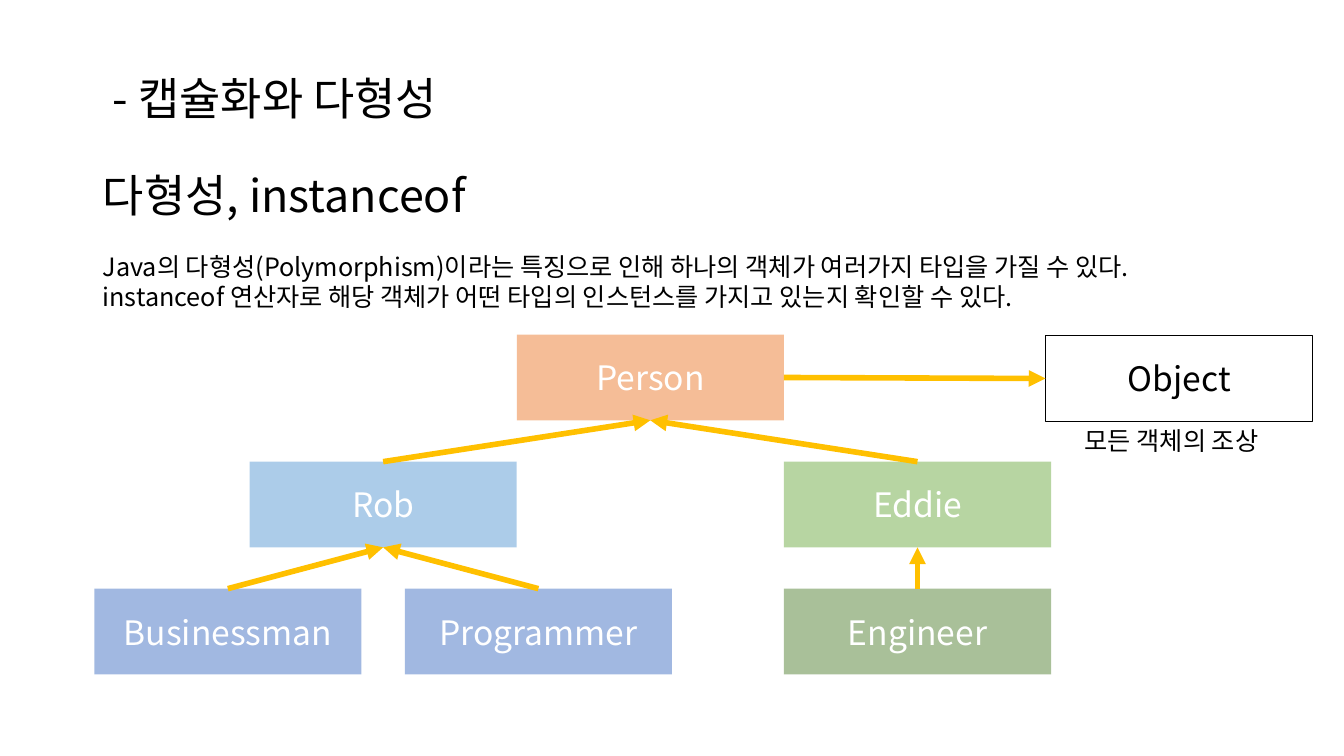
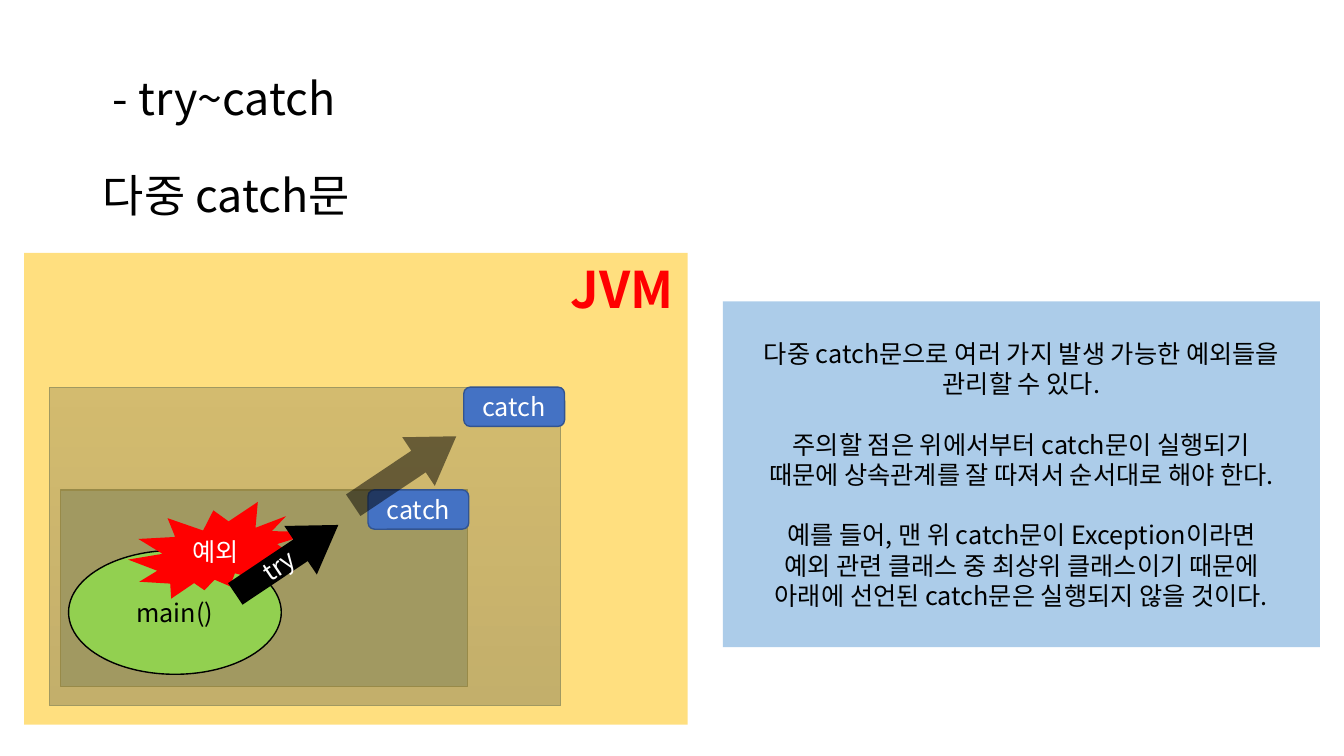
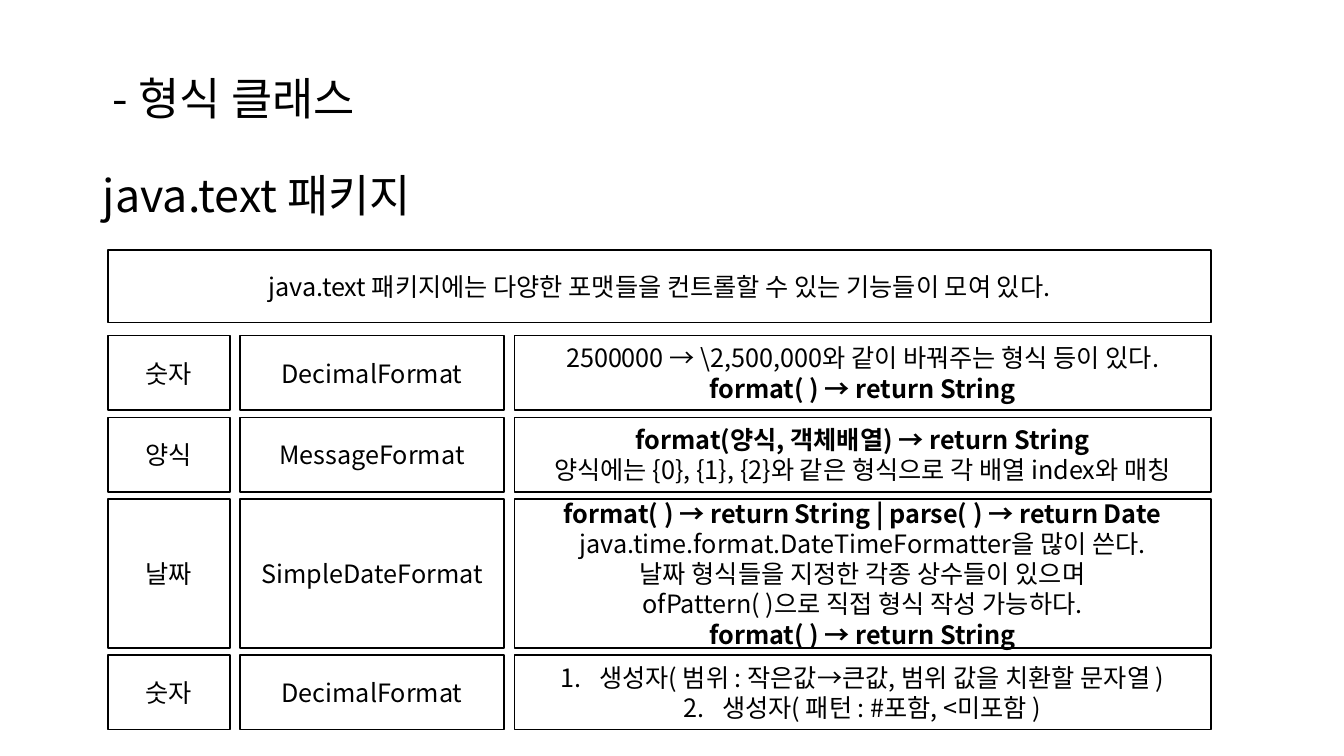
from dataclasses import dataclass

from lxml.etree import SubElement
from pptx import Presentation
from pptx.dml.color import RGBColor
from pptx.enum.shapes import MSO_CONNECTOR, MSO_SHAPE
from pptx.enum.text import MSO_ANCHOR, MSO_AUTO_SIZE, PP_ALIGN
from pptx.oxml.ns import qn
from pptx.util import Inches, Pt

FONT = "Noto Sans CJK KR"
BLACK, WHITE, RED, GOLD = "000000", "FFFFFF", "FF0000", "FFC000"
BLUE, SKY, NAVY = "4472C4", "5B9BD5", "325491"
TITLE_AREA = (0.92, 0.5, 10.78, 1.75)


@dataclass
class Line:
    """One paragraph of text."""
    text: str
    bold: bool = False
    before: float = 0
    numbered: bool = False


POLYMORPHISM_TITLE = (" - 캡슐화와 다형성", "다형성, instanceof")
POLYMORPHISM_NOTE = [
    "Java의 다형성(Polymorphism)이라는 특징으로 인해 하나의 객체가 여러가지 타입을 가질 수 있다.",
    "instanceof 연산자로 해당 객체가 어떤 타입의 인스턴스를 가지고 있는지 확인할 수 있다.",
]
NODE_WIDTH, NODE_HEIGHT = 2.65, 0.85
TREE_TOP, TREE_PITCH, TREE_CENTER, LEAF_OFFSET = 3.32, 1.26, 6.45, 1.54
TREE = [
    ("Person", None, 0, "ED7D31"),
    ("Rob", "Person", -NODE_WIDTH, SKY),
    ("Eddie", "Person", NODE_WIDTH, "70AD47"),
    ("Businessman", "Rob", -LEAF_OFFSET, BLUE),
    ("Programmer", "Rob", LEAF_OFFSET, BLUE),
    ("Engineer", "Eddie", 0, "548235"),
]

CATCH_TITLE = (" - try~catch", "다중 catch문")
CATCH_NOTE = [
    "다중 catch문으로 여러 가지 발생 가능한 예외들을",
    "관리할 수 있다.",
    Line("주의할 점은 위에서부터 catch문이 실행되기", before=21.7),
    "때문에 상속관계를 잘 따져서 순서대로 해야 한다.",
    Line("예를 들어, 맨 위 catch문이 Exception이라면", before=21.7),
    "예외 관련 클래스 중 최상위 클래스이기 때문에",
    "아래에 선언된 catch문은 실행되지 않을 것이다.",
]
CATCH_SIZE = (1, 0.39)
ARROW_SIZE = (1.23, 0.58)

FORMAT_TITLE = (" - 형식 클래스", "java.text 패키지")
FORMAT_HEADER = "java.text 패키지에는 다양한 포맷들을 컨트롤할 수 있는 기능들이 모여 있다."
RETURN_STRING = Line("format( ) → return String", bold=True)
FORMAT_ROWS = [
    (0.74, "숫자", "DecimalFormat", [
        r"2500000 → \2,500,000와 같이 바꿔주는 형식 등이 있다.",
        RETURN_STRING]),
    (0.74, "양식", "MessageFormat", [
        Line("format(양식, 객체배열) → return String", bold=True),
        "양식에는 {0}, {1}, {2}와 같은 형식으로 각 배열 index와 매칭"]),
    (1.48, "날짜", "SimpleDateFormat", [
        Line("format( ) → return String | parse( ) → return Date", bold=True),
        "java.time.format.DateTimeFormatter을 많이 쓴다.",
        "날짜 형식들을 지정한 각종 상수들이 있으며",
        "ofPattern( )으로 직접 형식 작성 가능하다.",
        RETURN_STRING]),
    (0.74, "숫자", "DecimalFormat", [
        Line("생성자( 범위 : 작은값→큰값, 범위 값을 치환할 문자열 )", numbered=True),
        Line("생성자( 패턴 : #포함, <미포함 )", numbered=True)]),
]
COLUMN_WIDTHS = (1.21, 2.62, 6.91)
COLUMN_GAP, ROW_GAP = 0.1, 0.07
GRID_LEFT, HEADER_TOP, HEADER_HEIGHT, GRID_TOP = 1.07, 2.48, 0.72, 3.33


def paint(color_format, color, alpha=None):
    """Set a colour from hex, with optional opacity in percent."""
    color_format.rgb = RGBColor.from_string(color)
    if alpha is not None:
        for node in color_format._xFill.iter(qn("a:srgbClr")):
            SubElement(node, qn("a:alpha"), val=str(alpha * 1000))


def write(frame, lines, size=18, color=BLACK, align=PP_ALIGN.CENTER, spacing=None):
    """Fill a text frame with lines, each a string or a Line."""
    frame.word_wrap = True
    for index, item in enumerate([lines] if isinstance(lines, str) else lines):
        line = Line(item) if isinstance(item, str) else item
        para = frame.add_paragraph() if index else frame.paragraphs[0]
        para.alignment = align
        para.space_before = Pt(line.before)
        if spacing:
            para.line_spacing = spacing
        if line.numbered:
            properties = para._p.get_or_add_pPr()
            properties.set("marL", str(Inches(0.38)))
            properties.set("indent", str(-Inches(0.38)))
            SubElement(properties, qn("a:buFont"), typeface="+mj-lt")
            SubElement(properties, qn("a:buAutoNum"), type="arabicPeriod")
        span = para.add_run()
        span.text = line.text
        span.font.size = Pt(size)
        span.font.bold = line.bold
        paint_text(span.font, color)


def paint_text(font, color):
    """Set colour and typeface for Latin and Korean text."""
    font.color.rgb = RGBColor.from_string(color)
    font.name = FONT
    latin = font._element.find(qn("a:latin"))
    east_asian = SubElement(font._element, qn("a:ea"), typeface=FONT)
    latin.addnext(east_asian)


def add_page(deck, title):
    """Add a slide with the shared two-line title."""
    page = deck.slides.add_slide(deck.slide_layouts[5])
    box = page.shapes.title
    box.left, box.top, box.width, box.height = map(Inches, TITLE_AREA)
    frame = box.text_frame
    frame.auto_size = MSO_AUTO_SIZE.NONE
    frame.vertical_anchor = MSO_ANCHOR.BOTTOM
    write(frame, [title[0], Line(title[1], before=34.5)], 32,
          align=PP_ALIGN.LEFT, spacing=0.9)
    return page


def add_block(page, area, fill, lines=(), kind=MSO_SHAPE.RECTANGLE, alpha=None,
              border=None, border_width=1, size=18, color=BLACK):
    """Add a filled shape with centred text."""
    block = page.shapes.add_shape(kind, *map(Inches, area))
    block.shadow.inherit = False
    block.fill.solid()
    paint(block.fill.fore_color, fill, alpha)
    if border:
        paint(block.line.color, border)
        block.line.width = Pt(border_width)
    else:
        block.line.fill.background()
    block.text_frame.vertical_anchor = MSO_ANCHOR.MIDDLE
    write(block.text_frame, lines, size, color)
    return block


def add_note(page, area, lines, **style):
    """Add a left-aligned text box."""
    box = page.shapes.add_textbox(*map(Inches, area))
    write(box.text_frame, lines, align=PP_ALIGN.LEFT, **style)


def add_arrow(page, start, start_site, end, end_site):
    """Join two shapes with a gold arrow."""
    arrow = page.shapes.add_connector(MSO_CONNECTOR.STRAIGHT, 0, 0, 0, 0)
    arrow.begin_connect(start, start_site)
    arrow.end_connect(end, end_site)
    paint(arrow.line.color, GOLD)
    arrow.line.width = Pt(4)
    SubElement(arrow.line._get_or_add_ln(), qn("a:tailEnd"), type="triangle")
    SubElement(arrow._element.spPr, qn("a:effectLst"))


def build_polymorphism(deck):
    """Draw the class tree."""
    page = add_page(deck, POLYMORPHISM_TITLE)
    add_note(page, (0.92, 2.44, 12.15, 0.71), POLYMORPHISM_NOTE)
    nodes, places = {}, {None: (TREE_CENTER, -1)}
    for name, parent, offset, fill in TREE:
        center, level = places[parent]
        center, level = center + offset, level + 1
        places[name] = center, level
        area = (center - NODE_WIDTH / 2, TREE_TOP + level * TREE_PITCH,
                NODE_WIDTH, NODE_HEIGHT)
        nodes[name] = add_block(page, area, fill, name, alpha=50, size=24, color=WHITE)
    ancestor = add_block(page, (10.37, 3.33, NODE_WIDTH, NODE_HEIGHT), WHITE,
                         "Object", border=BLACK, size=24)
    for name, parent, _, _ in TREE:
        if parent:
            add_arrow(page, nodes[name], 0, nodes[parent], 2)
    add_arrow(page, nodes["Person"], 3, ancestor, 1)
    add_note(page, (10.66, 4.17, 2.25, 0.4), ["모든 객체의 조상"])


def add_throw(page, left, top, lines=(), alpha=None):
    """Add a tilted block arrow."""
    arrow = add_block(page, (left, top, *ARROW_SIZE), BLACK, lines,
                      MSO_SHAPE.RIGHT_ARROW, alpha, color=WHITE)
    arrow.adjustments[0], arrow.adjustments[1] = 0.444, 0.777
    arrow.rotation = 326.2


def add_catch(page, left, top):
    """Add a catch label."""
    add_block(page, (left, top, *CATCH_SIZE), BLUE, "catch",
              MSO_SHAPE.ROUNDED_RECTANGLE, border=NAVY, color=WHITE)


def build_catch(deck):
    """Draw nested try blocks inside the virtual machine."""
    page = add_page(deck, CATCH_TITLE)
    outer = add_block(page, (0.49, 3.84, 5.07, 3.16), BLUE, border=BLUE, border_width=0.5)
    outer.fill.gradient()
    outer.fill.gradient_angle = 270
    for stop, color in zip(outer.fill.gradient_stops, ("A8B7DF", "889ED7")):
        paint_stop = stop.color
        paint_stop.rgb = RGBColor.from_string(color)
    for stop, position in zip(outer.fill.gradient_stops, (0, 1)):
        stop.position = position
    add_block(page, (0.6, 4.86, 4.04, 1.95), BLUE, border=NAVY)
    add_block(page, (0.24, 2.51, 6.58, 4.68), GOLD, alpha=50)
    add_block(page, (0.68, 5.46, 2.11, 1.23), "92D050", "main()",
              MSO_SHAPE.OVAL, border=BLACK)
    add_block(page, (1.27, 4.98, 1.88, 0.96), RED, "예외",
              MSO_SHAPE.EXPLOSION2, color=WHITE)
    add_throw(page, 2.23, 5.26, "try")
    add_note(page, (5.56, 2.51, 1.43, 0.71), [Line("JVM", bold=True)], size=36, color=RED)
    add_block(page, (7.17, 2.99, 5.92, 3.43), SKY, CATCH_NOTE, alpha=50)
    add_catch(page, 3.65, 4.86)
    add_throw(page, 3.4, 4.38, alpha=50)
    add_catch(page, 4.6, 3.84)


def build_formats(deck):
    """Draw the grid of format classes."""
    page = add_page(deck, FORMAT_TITLE)
    width = sum(COLUMN_WIDTHS) + COLUMN_GAP * (len(COLUMN_WIDTHS) - 1)
    add_block(page, (GRID_LEFT, HEADER_TOP, width, HEADER_HEIGHT), WHITE,
              FORMAT_HEADER, border=BLACK)
    top = GRID_TOP
    for height, *cells in FORMAT_ROWS:
        left = GRID_LEFT
        for cell_width, lines in zip(COLUMN_WIDTHS, cells):
            add_block(page, (left, top, cell_width, height), WHITE, lines, border=BLACK)
            left += cell_width + COLUMN_GAP
        top += height + ROW_GAP


def main():
    """Build and save the deck."""
    deck = Presentation()
    deck.slide_width, deck.slide_height = Inches(13.33), Inches(7.5)
    for build in (build_polymorphism, build_catch, build_formats):
        build(deck)
    deck.save("out.pptx")


if __name__ == "__main__":
    main()
